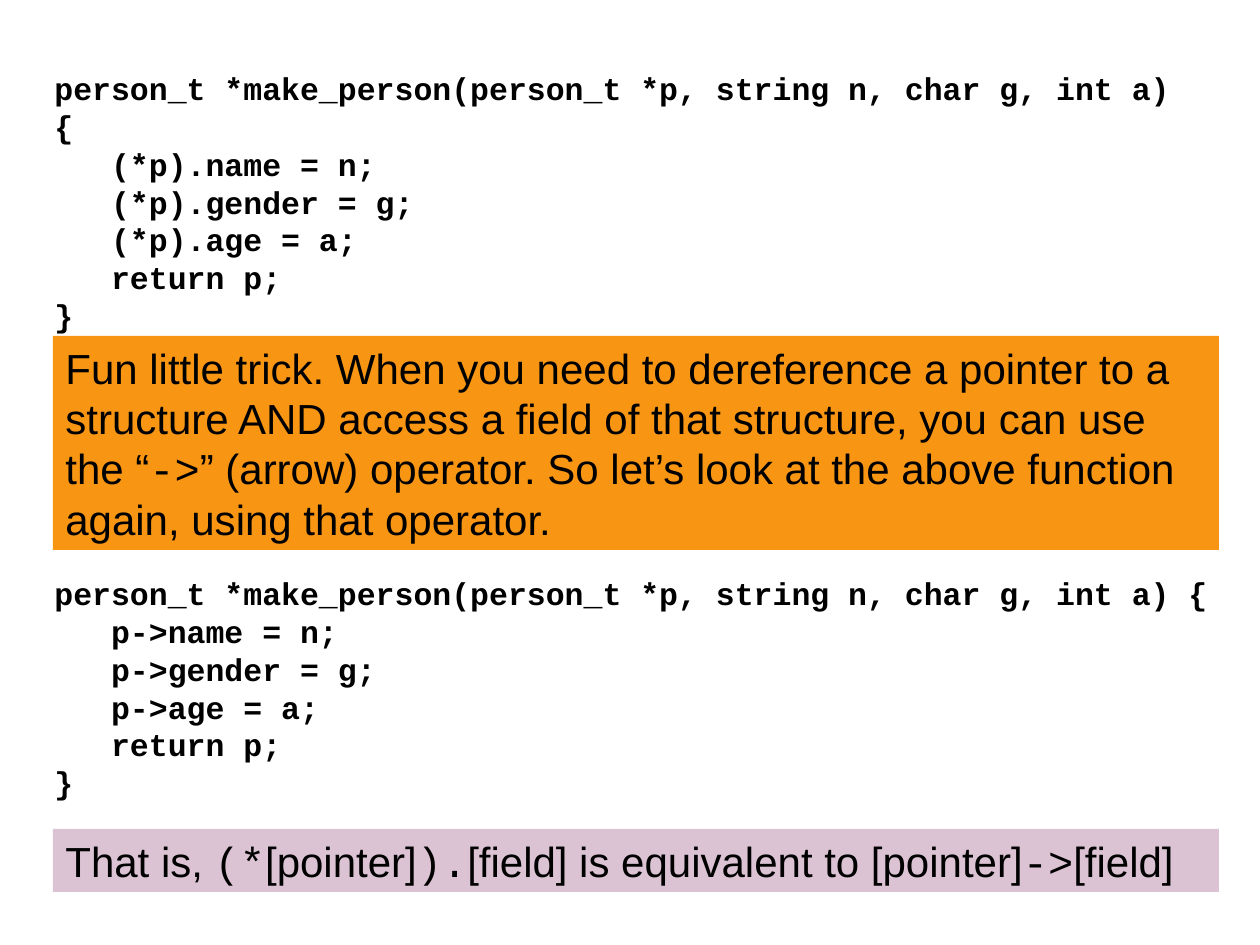
import pptx
import pptx.util
import pptx.dml.color
import pptx.enum.shapes
import pptx.enum.text
from dataclasses import dataclass

PX = 914400 // 126


@dataclass(frozen=True)
class Theme:
    """Colours, fonts and type sizes of the slide."""
    ink: str = "000000"
    trick: str = "F89614"
    rule: str = "DBC3D3"
    sans: str = "Arial"
    mono: str = "Courier New"
    code: int = 18
    body: int = 24
    lead: float = 1.2


THEME = Theme()


def color(name):
    """Turn a hex name into a colour."""
    return pptx.dml.color.RGBColor.from_string(name)


def write(shape, lines, size, bold=False):
    """Fill a shape with lines, each a list of (text, font) runs."""
    frame = shape.text_frame
    frame.word_wrap = True
    frame.auto_size = pptx.enum.text.MSO_AUTO_SIZE.SHAPE_TO_FIT_TEXT
    frame.vertical_anchor = pptx.enum.text.MSO_ANCHOR.TOP
    for i, line in enumerate(lines):
        para = frame.paragraphs[0] if i == 0 else frame.add_paragraph()
        para.alignment = pptx.enum.text.PP_ALIGN.LEFT
        para.line_spacing = pptx.util.Pt(size * THEME.lead)
        for text, face in line:
            run = para.add_run()
            run.text = text
            run.font.name = face
            run.font.size = pptx.util.Pt(size)
            run.font.bold = bold
            run.font.color.rgb = color(THEME.ink)


def code(slide, box, body):
    """Add the make_person listing with the given body lines."""
    shape = slide.shapes.add_textbox(*(n * PX for n in box))
    head = "person_t *make_person(person_t *p, string n, char g, int a) {"
    rows = [head, *("   " + row for row in body), "}"]
    write(shape, [[(row, THEME.mono)] for row in rows], THEME.code, bold=True)


def note(slide, box, fill, parts):
    """Add a filled note whose parts alternate sans and mono."""
    kind = pptx.enum.shapes.MSO_SHAPE.RECTANGLE
    shape = slide.shapes.add_shape(kind, *(n * PX for n in box))
    shape.shadow.inherit = False
    shape.fill.solid()
    shape.fill.fore_color.rgb = color(fill)
    shape.line.fill.background()
    faces = (THEME.sans, THEME.mono)
    runs = [(text, faces[i % 2]) for i, text in enumerate(parts)]
    write(shape, [runs], THEME.body)


def main():
    """Build and save the slide."""
    deck = pptx.Presentation()
    deck.slide_width = pptx.util.Inches(10)
    deck.slide_height = pptx.util.Inches(7.5)
    slide = deck.slides.add_slide(deck.slide_layouts[6])
    code(slide, (42, 63, 1176, 277),
         ["(*p).name = n;", "(*p).gender = g;", "(*p).age = a;", "return p;"])
    note(slide, (53, 336, 1166, 214), THEME.trick, [
        "Fun little trick. When you need to dereference a pointer to a "
        "structure AND access a field of that structure, you can use the “",
        "->",
        "” (arrow) operator. So let’s look at the above function again, "
        "using that operator."])
    code(slide, (42, 568, 1197, 239),
         ["p->name = n;", "p->gender = g;", "p->age = a;", "return p;"])
    note(slide, (53, 829, 1166, 63), THEME.rule, [
        "That is, ", "(*", "[pointer]", ").",
        "[field] is equivalent to [pointer]", "->", "[field]"])
    deck.save("out.pptx")


if __name__ == "__main__":
    main()
